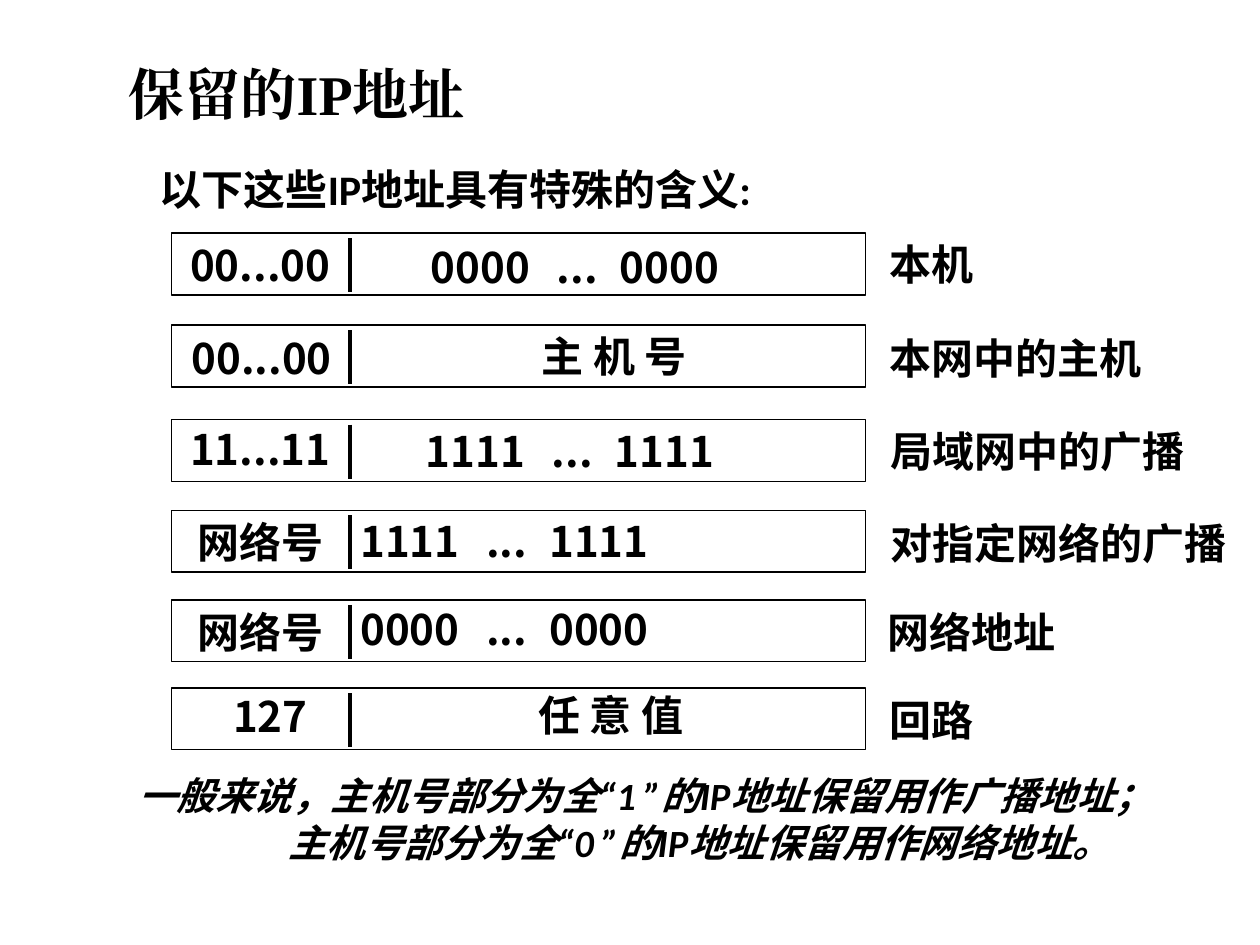
from lxml import etree
from pptx import Presentation
from pptx.dml.color import RGBColor
from pptx.enum.shapes import MSO_CONNECTOR, MSO_SHAPE
from pptx.enum.text import MSO_ANCHOR, MSO_AUTO_SIZE, PP_ALIGN
from pptx.oxml.ns import qn
from pptx.util import Inches, Pt

COLORS = {"ink": "000000", "paper": "FFFFFF"}
INK = RGBColor.from_string(COLORS["ink"])
PAPER = RGBColor.from_string(COLORS["paper"])
FIELD_FONT = "Noto Sans CJK SC"


def place(box, left, top, width, height, inset=(0, 0), wrap=True):
    box.left, box.top = Inches(left), Inches(top)
    box.width, box.height = Inches(width), Inches(height)
    frame = box.text_frame
    frame.auto_size = MSO_AUTO_SIZE.NONE
    frame.word_wrap = wrap
    frame.vertical_anchor = MSO_ANCHOR.TOP
    frame.margin_left = frame.margin_right = Inches(inset[0])
    frame.margin_top = frame.margin_bottom = Inches(inset[1])
    return frame


def write(para, text, size=24, font=FIELD_FONT, italic=False, indent=0, tabs=()):
    props = para._p.get_or_add_pPr()
    props.set("marL", str(Inches(indent)))
    props.set("indent", "0")
    etree.SubElement(props, qn("a:buNone"))
    if tabs:
        stops = etree.SubElement(props, qn("a:tabLst"))
        for stop in tabs:
            etree.SubElement(stops, qn("a:tab"), pos=str(Inches(stop)), algn="l")
    para.alignment = PP_ALIGN.LEFT
    para.space_before = Pt(0)
    span = para.add_run()
    span.text = text
    span.font.name = font
    span.font.size = Pt(size)
    span.font.bold = True
    span.font.italic = italic
    span.font.color.rgb = INK
    etree.SubElement(span._r.get_or_add_rPr(), qn("a:ea"), typeface=font)


deck = Presentation()
deck.slide_width, deck.slide_height = Inches(10), Inches(7.5)
page = deck.slides.add_slide(deck.slide_layouts[1])
shapes = page.shapes

title = place(shapes.title, 0.92, 0.42, 6.58, 0.64, inset=(0.1, 0.05))
write(title.paragraphs[0], "保留的IP地址", size=32, font="Times New Roman")

intro = place(shapes.add_textbox(0, 0, 0, 0), 1.17, 1.25, 7.17, 0.5, inset=(0.1, 0.05))
write(intro.paragraphs[0], "以下这些IP地址具有特殊的含义:", font="Calibri")

rows = [
    (1.85, ("00...00", 1.51, 1.9, 1.11), ("0000\t...\t0000", 3.42, 1.92, 2.73),
     ("本机", 7.06, 1.89, 0.67)),
    (2.58, ("00...00", 1.52, 2.64, 1.11), ("主 机 号", 4.3, 2.62, 1.15),
     ("本网中的主机", 7.06, 2.64, 2)),
    (3.33, ("11...11", 1.51, 3.36, 1.11), ("1111\t...\t1111", 3.38, 3.38, 2.73),
     ("局域网中的广播", 7.07, 3.38, 2.33)),
    (4.05, ("网络号", 1.57, 4.1, 1), ("1111\t...\t1111", 2.86, 4.09, 3.94),
     ("对指定网络的广播", 7.07, 4.11, 2.92)),
    (4.76, ("网络号", 1.57, 4.81, 1), ("0000\t...\t0000", 2.86, 4.79, 3.94),
     ("网络地址", 7.04, 4.81, 2.92)),
    (5.46, ("127", 1.85, 5.48, 0.59), ("任 意 值", 4.27, 5.47, 1.15),
     ("回路", 7.06, 5.51, 0.67)),
]

for row_top, *labels in rows:
    address = shapes.add_shape(MSO_SHAPE.RECTANGLE, Inches(1.36), Inches(row_top),
                               Inches(5.51), Inches(0.49))
    address.shadow.inherit = False
    address.fill.solid()
    address.fill.fore_color.rgb = PAPER
    address.line.color.rgb = INK
    address.line.width = Pt(0.88)

    divider = shapes.add_connector(MSO_CONNECTOR.STRAIGHT, Inches(2.78), Inches(row_top + 0.04),
                                   Inches(2.78), Inches(row_top + 0.47))
    divider.line.color.rgb = INK
    divider.line.width = Pt(2.25)
    etree.SubElement(divider._element.spPr, qn("a:effectLst"))

    for text, left, top, width in labels:
        tabbed = "\t" in text
        frame = place(shapes.add_textbox(0, 0, 0, 0), left, top, width, 0.4, wrap=tabbed)
        write(frame.paragraphs[0], text, tabs=(1.15, 1.95) if tabbed else ())

summary = place(page.placeholders[1], 1, 6.08, 8.75, 1.2, inset=(0.1, 0.05))
closing = {"size": 22, "font": "Calibri", "italic": True}
write(summary.paragraphs[0], "一般来说，主机号部分为全“1 ”的IP地址保留用作广播地址；", **closing)
write(summary.add_paragraph(), "主机号部分为全“0 ”的IP地址保留用作网络地址。", indent=1.19, **closing)

deck.save("out.pptx")
